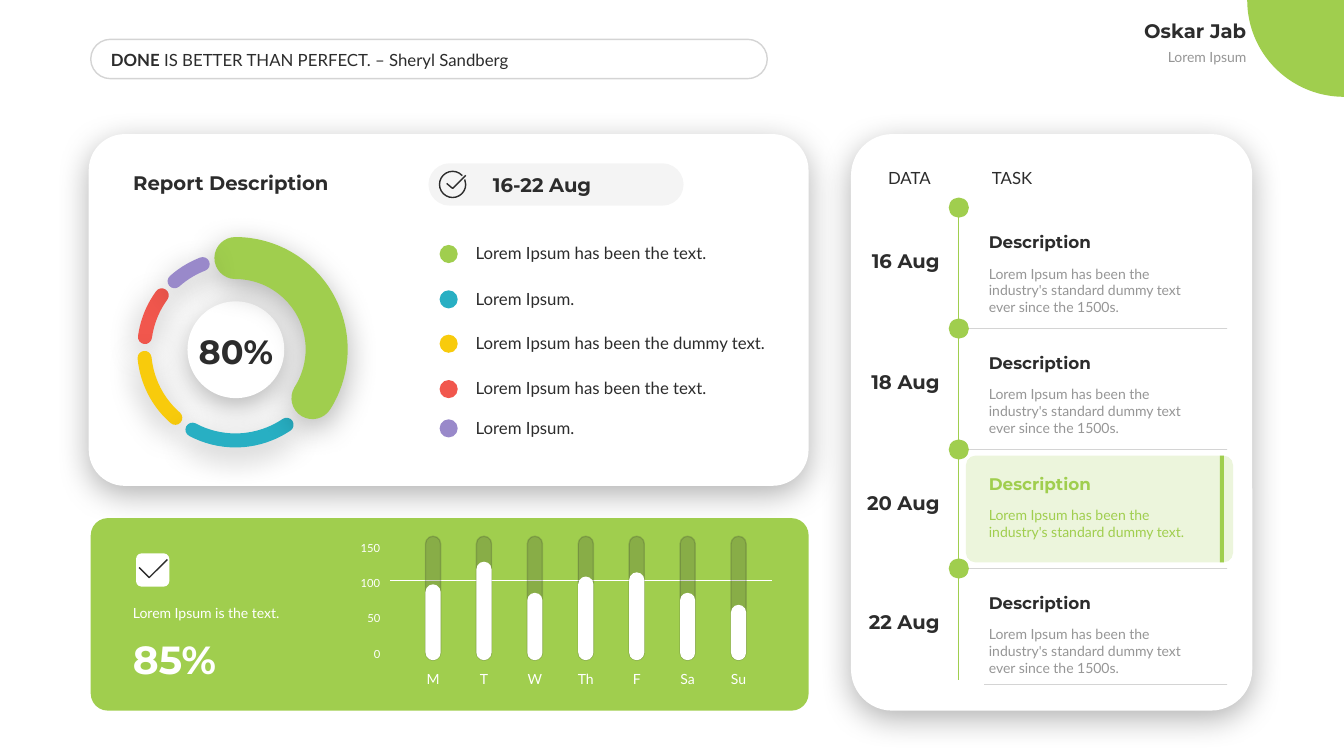
from dataclasses import dataclass
from lxml import etree
from pptx import Presentation
from pptx.dml.color import RGBColor
from pptx.enum.shapes import MSO_CONNECTOR, MSO_SHAPE
from pptx.enum.text import MSO_ANCHOR, MSO_AUTO_SIZE, PP_ALIGN
from pptx.oxml.ns import qn
from pptx.util import Inches, Pt


@dataclass(frozen=True)
class Theme:
    green: str = "A0CE4E"
    pale_green: str = "ECF5DC"
    teal: str = "28AFC3"
    yellow: str = "F8CB0C"
    red: str = "F1574D"
    purple: str = "9989CA"
    dark: str = "2C2C2C"
    grey: str = "969696"
    white: str = "FFFFFF"
    # Type styles: font, size, bold
    figure: tuple = ("Montserrat", 28, True)
    percent: tuple = ("Montserrat", 24, True)
    heading: tuple = ("Montserrat", 14, True)
    subheading: tuple = ("Montserrat", 12, True)
    body: tuple = ("Lato", 12, False)
    small: tuple = ("Lato", 10, False)
    tick: tuple = ("Lato", 8, False)


T = Theme()
LEFT, CENTER, RIGHT = PP_ALIGN.LEFT, PP_ALIGN.CENTER, PP_ALIGN.RIGHT
TOP, MIDDLE, BOTTOM = MSO_ANCHOR.TOP, MSO_ANCHOR.MIDDLE, MSO_ANCHOR.BOTTOM

TITLE = "Report Description"
QUOTE = ("DONE", " IS BETTER THAN PERFECT. – Sheryl Sandberg")
OWNER, ROLE = "Oskar Jab", "Lorem Ipsum"
WEEK = "16-22 Aug"
SHARE = "80%"
PROGRESS, PROGRESS_NOTE = "85%", "Lorem Ipsum is the text."
# Top of the dot, colour, label
LEGEND = [
    (2.43, T.green, "Lorem Ipsum has been the text."),
    (2.88, T.teal, "Lorem Ipsum."),
    (3.32, T.yellow, "Lorem Ipsum has been the dummy text."),
    (3.77, T.red, "Lorem Ipsum has been the text."),
    (4.16, T.purple, "Lorem Ipsum."),
]
# Start and end in degrees, clockwise from the right; colour; width in points
RING = [
    (187.7, 216.2, T.red, 10),
    (131.2, 174.5, T.yellow, 10),
    (55.9, 118.1, T.teal, 10),
    (270, 32.4, T.green, 30),
    (228.2, 249, T.purple, 10),
]
DAYS = [("M", 99), ("T", 131), ("W", 87), ("Th", 110), ("F", 116), ("Sa", 87), ("Su", 70)]
TICKS = [0, 50, 100, 150]
LONG_TASK = "Lorem Ipsum has been the industry's standard dummy text ever since the 1500s."
SHORT_TASK = "Lorem Ipsum has been the industry's standard dummy text."
# Centre of the dot, date, task, highlighted
TASKS = [
    (2.06, "16 Aug", LONG_TASK, False),
    (3.26, "18 Aug", LONG_TASK, False),
    (4.46, "20 Aug", SHORT_TASK, True),
    (5.64, "22 Aug", LONG_TASK, False),
]

prs = Presentation()
prs.slide_width, prs.slide_height = Inches(13.33), Inches(7.5)
slide = prs.slides.add_slide(prs.slide_layouts[5])
shapes = slide.shapes


def rgb(colour):
    return RGBColor.from_string(colour)


def set_alpha(fill_parent, percent):
    colour = fill_parent.find(qn("a:solidFill")).find(qn("a:srgbClr"))
    etree.SubElement(colour, qn("a:alpha")).set("val", str(percent * 1000))


def style_line(line_owner, colour, width, alpha=None):
    line_owner.line.color.rgb = rgb(colour)
    line_owner.line.width = Pt(width)
    outline = line_owner.element.spPr.find(qn("a:ln"))
    if alpha:
        set_alpha(outline, alpha)
    return outline


def add_shadow(shape):
    effects = shape.element.spPr.find(qn("a:effectLst"))
    shadow = etree.SubElement(effects, qn("a:outerShdw"), blurRad=str(Pt(23)),
                              dist=str(Pt(6)), dir="5400000", algn="t", rotWithShape="0")
    colour = etree.SubElement(shadow, qn("a:srgbClr"), val="000000")
    etree.SubElement(colour, qn("a:alpha"), val="30000")


def add_shape(kind, box, fill=None, adjust=(), alpha=None, shadow=False):
    shape = shapes.add_shape(kind, *map(Inches, box))
    shape.shadow.inherit = False
    shape.line.fill.background()
    if fill:
        shape.fill.solid()
        shape.fill.fore_color.rgb = rgb(fill)
    else:
        shape.fill.background()
    if alpha:
        set_alpha(shape.element.spPr, alpha)
    for index, value in enumerate(adjust):
        shape.adjustments[index] = value
    if shadow:
        add_shadow(shape)
    return shape


def add_round(box, fill=None, radius=0.5, **options):
    return add_shape(MSO_SHAPE.ROUNDED_RECTANGLE, box, fill, (radius,), **options)


def add_dot(box, fill, **options):
    return add_shape(MSO_SHAPE.OVAL, box, fill, **options)


def add_arc(box, start, end, **options):
    """Add an arc between two angles in degrees."""
    return add_shape(MSO_SHAPE.ARC, box, adjust=(start * 0.6, end * 0.6), **options)


def add_line(x1, y1, x2, y2, colour, alpha=None):
    line = shapes.add_connector(MSO_CONNECTOR.STRAIGHT, *map(Inches, (x1, y1, x2, y2)))
    style_line(line, colour, 0.5, alpha)
    etree.SubElement(line.element.spPr, qn("a:effectLst"))


def add_check(start, *points):
    builder = shapes.build_freeform(*map(Inches, start))
    builder.add_line_segments([tuple(map(Inches, point)) for point in points], close=False)
    check = builder.convert_to_shape()
    check.shadow.inherit = False
    check.fill.background()
    style_line(check, T.dark, 1)


def write(holder, content, style, colour=T.dark, align=LEFT, anchor=TOP, inset=0.1):
    """Fill a text holder; content is a string, or a bold part and a plain part."""
    frame = holder.text_frame
    frame.word_wrap = True
    frame.auto_size = MSO_AUTO_SIZE.SHAPE_TO_FIT_TEXT
    frame.vertical_anchor = anchor
    frame.margin_left = frame.margin_right = Inches(inset)
    paragraph = frame.paragraphs[0]
    paragraph.alignment = align
    font = paragraph.font
    font.name, font.size, font.bold = style[0], Pt(style[1]), style[2]
    font.color.rgb = rgb(colour)
    parts = [content] if isinstance(content, str) else content
    for part in parts:
        paragraph.add_run().text = part
    if len(parts) > 1:
        paragraph.runs[0].font.bold = True


def add_text(box, *args, **options):
    write(shapes.add_textbox(*map(Inches, box)), *args, **options)


# Header
add_arc((12.37, -0.96, 1.92, 1.92), 90, 180, fill=T.green)
add_text((10.14, 0.43, 2.32, 0.27), ROLE, T.small, T.grey, RIGHT)
add_text((10.14, 0.13, 2.32, 0.34), OWNER, T.heading, align=RIGHT, anchor=BOTTOM)
style_line(add_round((0.9, 0.39, 6.71, 0.39)), T.dark, 1, alpha=20)
add_text((1.06, 0.44, 5.64, 0.3), QUOTE, T.body, anchor=MIDDLE, inset=0.04)

# Report card
add_round((0.88, 1.33, 7.14, 3.49), T.white, 0.103, shadow=True)
title = shapes.title
title.left, title.top, title.width, title.height = map(Inches, (1.22, 1.64, 3.52, 0.34))
write(title, TITLE, T.heading, anchor=BOTTOM)
title.element.getparent().append(title.element)  # bring in front of the card
add_round((4.25, 1.62, 2.53, 0.42), T.dark, alpha=5)
style_line(add_arc((4.36, 1.7, 0.26, 0.26), 338, 318), T.dark, 1)
add_check((4.43, 1.82), (4.49, 1.87), (4.62, 1.74))
add_text((4.79, 1.66, 1.88, 0.34), WEEK, T.heading, anchor=MIDDLE)
add_dot((1.86, 2.99, 0.96, 0.96), T.white, shadow=True)
add_text((1.8, 3.23, 1.08, 0.5), SHARE, T.percent, align=CENTER, anchor=BOTTOM)
for start, end, colour, width in RING:
    segment = add_arc((1.43, 2.56, 1.81, 1.81), start, end, shadow=True)
    style_line(segment, colour, width).set("cap", "rnd")
for top, colour, label in LEGEND:
    add_dot((4.36, top, 0.18, 0.18), colour)
    add_text((4.62, top - 0.07, 3.16, 0.3), label, T.body, anchor=MIDDLE)

# Week progress
add_round((0.9, 5.14, 7.12, 1.91), T.green, 0.089)
add_round((1.35, 5.49, 0.33, 0.33), T.white, 0.167)
add_check((1.38, 5.63), (1.48, 5.73), (1.66, 5.55))
add_text((1.22, 5.94, 1.88, 0.27), PROGRESS_NOTE, T.small, T.white, anchor=BOTTOM)
add_text((1.22, 6.25, 1.88, 0.57), PROGRESS, T.figure, T.white)
add_line(3.87, 5.76, 7.66, 5.76, T.white)
ZERO, UNIT = 6.49, 0.007
TRACK_TOP, TRACK_BOTTOM, BAR = 5.32, 6.55, 0.15
for tick in TICKS:
    add_text((3.38, ZERO - tick * UNIT - 0.12, 0.49, 0.24), str(tick), T.tick, T.white, RIGHT)
for index, (day, value) in enumerate(DAYS):
    middle = 4.295 + index * 0.505
    left, bar_top = middle - BAR / 2, ZERO - value * UNIT
    track = add_round((left, TRACK_TOP, BAR, TRACK_BOTTOM - TRACK_TOP), T.dark, alpha=20)
    style_line(track, T.dark, 1, alpha=20)
    add_round((left, bar_top, BAR, TRACK_BOTTOM - bar_top), T.white)
    add_text((middle - 0.195, 6.6, 0.39, 0.27), day, T.small, T.white, CENTER, inset=0)

# Task timeline
add_round((8.44, 1.33, 3.98, 5.72), T.white, 0.103, shadow=True)
add_text((8.51, 1.61, 0.82, 0.3), "DATA", T.body, align=RIGHT, anchor=MIDDLE)
add_text((9.74, 1.61, 1.76, 0.3), "TASK", T.body, anchor=MIDDLE)
dividers = [(9.61, task[0]) for task in TASKS[1:]] + [(9.76, 6.79)]
for (y, date, task, highlighted), (divider_left, divider_y) in zip(TASKS, dividers):
    if highlighted:
        add_round((9.58, y + 0.06, 2.65, 1.06), T.pale_green, 0.091)
        add_shape(MSO_SHAPE.RECTANGLE, (12.1, y + 0.06, 0.04, 1.06), T.green)
    add_line(9.51, y + 0.04, 9.51, y + 1.11, T.green)
    add_dot((9.41, y - 0.1, 0.2, 0.2), T.green)
    add_text((8.52, y + 0.35, 0.84, 0.34), date, T.heading, align=RIGHT, anchor=BOTTOM, inset=0.04)
    add_text((9.71, y + 0.19, 2.37, 0.3), "Description", T.subheading,
             T.green if highlighted else T.dark, anchor=BOTTOM)
    add_text((9.71, y + 0.52, 2.37, 0.61), task, T.small, T.green if highlighted else T.grey)
    add_line(divider_left, divider_y, 12.17, divider_y, T.dark, alpha=20)

prs.save("out.pptx")
